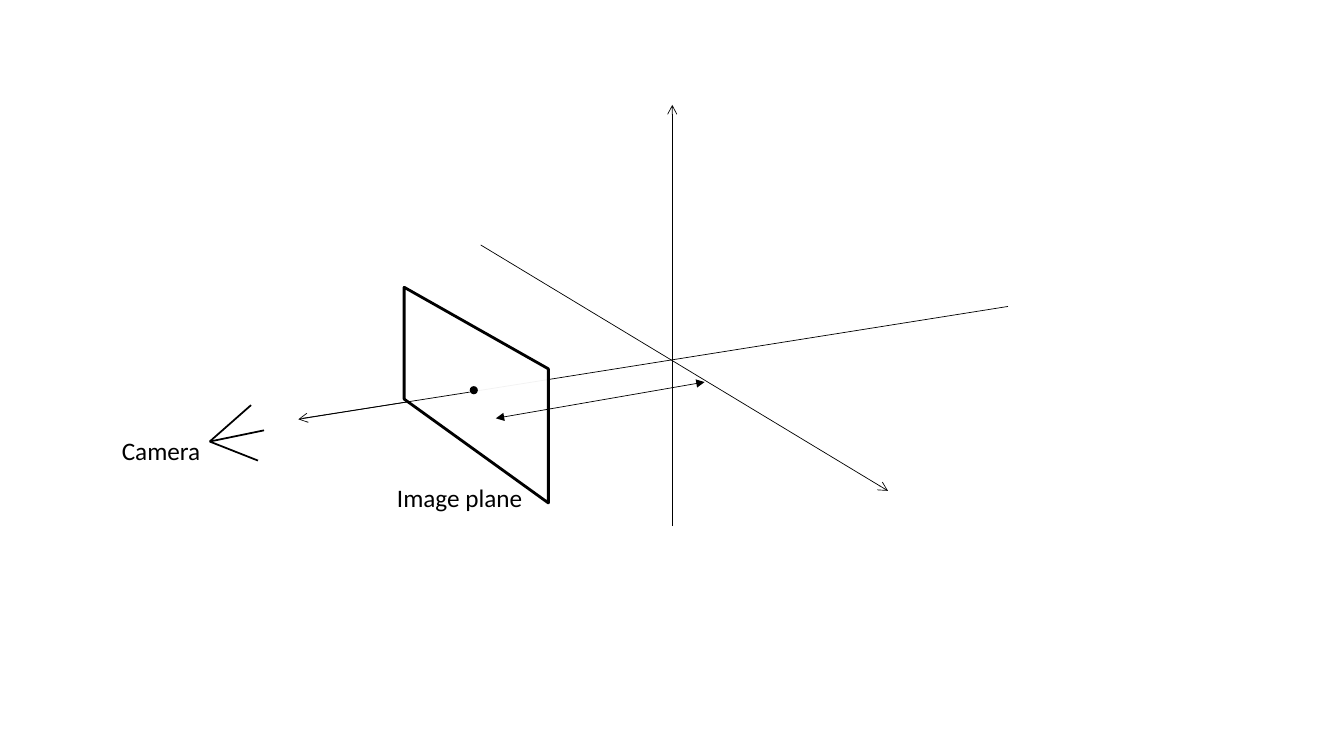
import pptx
import pptx.util
import pptx.dml.color
import pptx.enum.shapes
import pptx.enum.text
import pptx.oxml.ns
from lxml import etree

Pt = pptx.util.Pt
qn = pptx.oxml.ns.qn
COLORS = {"ink": "000000", "paper": "FFFFFF"}


def rgb(name):
    return pptx.dml.color.RGBColor.from_string(COLORS[name])


def draw_line(start, end, width=0.5, head=None, tail=None):
    """Draw a black line; head is the arrow at start, tail the one at end."""
    line = slide.shapes.add_connector(
        pptx.enum.shapes.MSO_CONNECTOR.STRAIGHT,
        *[Pt(v) for v in start + end])
    line.line.color.rgb = rgb("ink")
    line.line.width = Pt(width)
    props = line._element.spPr
    for tag, kind in (("a:headEnd", head), ("a:tailEnd", tail)):
        if kind:
            etree.SubElement(props.find(qn("a:ln")), qn(tag), type=kind)
    etree.SubElement(props, qn("a:effectLst"))


deck = pptx.Presentation()
deck.slide_width, deck.slide_height = Pt(960), Pt(540)
slide = deck.slides.add_slide(deck.slide_layouts[6])

# Axes of the scene
axes = [
    ((343.4, 175), (634.3, 350.6)),
    ((480.2, 375.8), (480.2, 74.9)),
    ((720, 218.9), (213.1, 299.5)),
]
for start, end in axes:
    draw_line(start, end, tail="arrow")

# Camera rays
eye = (149.8, 315.4)
for tip in [(179.3, 289.4), (184.3, 329), (188.6, 307.4)]:
    draw_line(eye, tip, 1.25)

# Image plane, slightly see-through, with its centre
corners = [(288.7, 205.2), (288.7, 285.1), (391.7, 359.3), (391.7, 263.5)]
points = [(Pt(x), Pt(y)) for x, y in corners]
outline = slide.shapes.build_freeform(*points[0])
outline.add_line_segments(points[1:], close=True)
plane = outline.convert_to_shape()
plane.shadow.inherit = False
plane.fill.solid()
plane.fill.fore_color.rgb = rgb("paper")
plane.line.color.rgb = rgb("ink")
plane.line.width = Pt(2)
tint = plane._element.spPr.find(qn("a:solidFill")).find(qn("a:srgbClr"))
etree.SubElement(tint, qn("a:alpha"), val="95000")

dot = slide.shapes.add_shape(
    pptx.enum.shapes.MSO_SHAPE.OVAL, Pt(335.5), Pt(275.8), Pt(5.8), Pt(5.8))
dot.shadow.inherit = False
dot.fill.solid()
dot.fill.fore_color.rgb = rgb("ink")
dot.line.fill.background()

# Distance from plane to origin, and the axis in front of the plane
draw_line((354.2, 298.8), (503.3, 272.9), head="triangle", tail="triangle")
draw_line((335.5, 280.1), (216, 298.8))

labels = [
    ("Camera", 79.9, 307.4, 71.3),
    ("Image plane", 276.5, 340.6, 105.1),
]
for text, left, top, width in labels:
    box = slide.shapes.add_textbox(Pt(left), Pt(top), Pt(width), Pt(29))
    frame = box.text_frame
    frame.word_wrap = False
    frame.auto_size = pptx.enum.text.MSO_AUTO_SIZE.SHAPE_TO_FIT_TEXT
    frame.text = text
    font = frame.paragraphs[0].runs[0].font
    font.name = "Calibri"
    font.size = Pt(18)
    font.color.rgb = rgb("ink")

deck.save("out.pptx")
